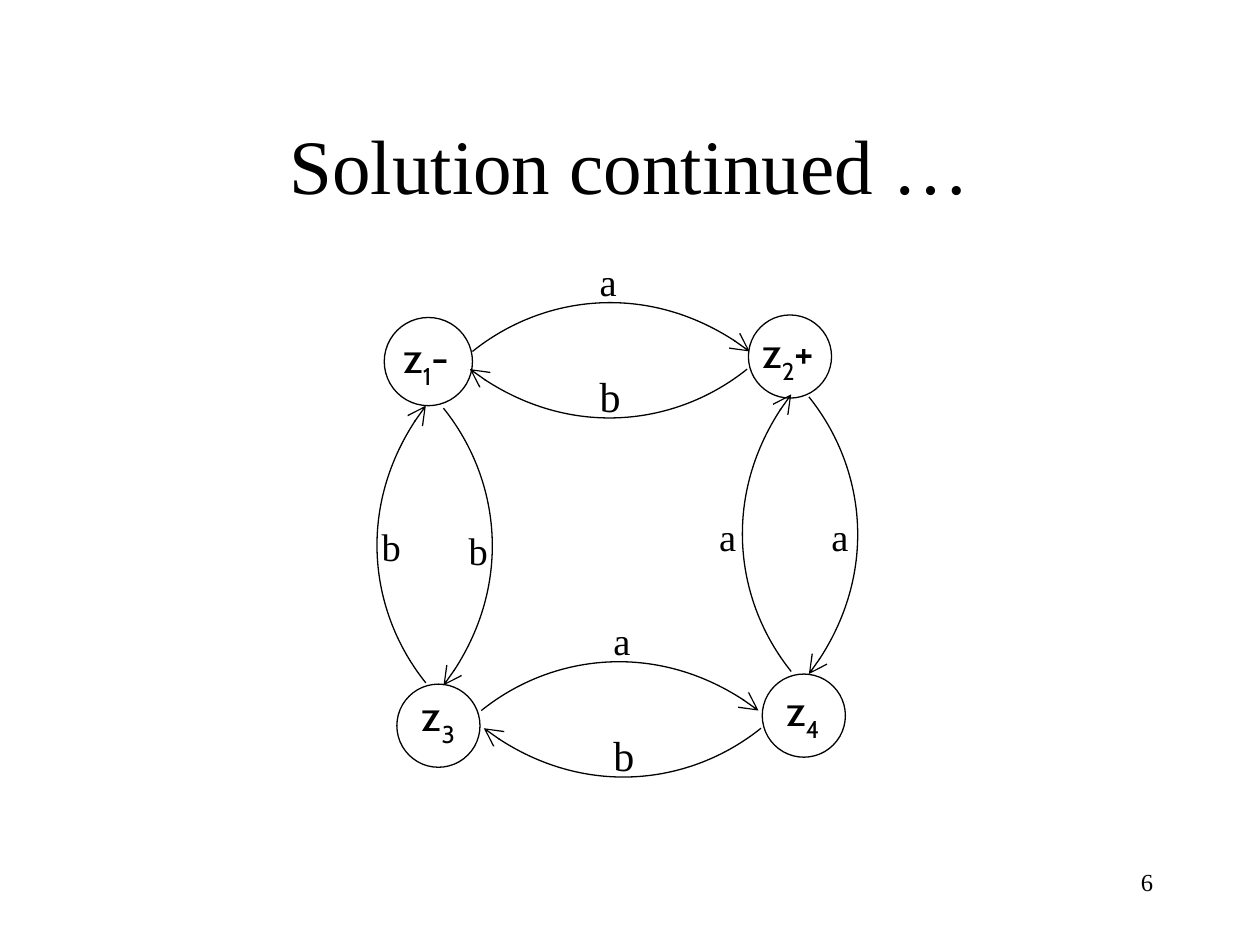
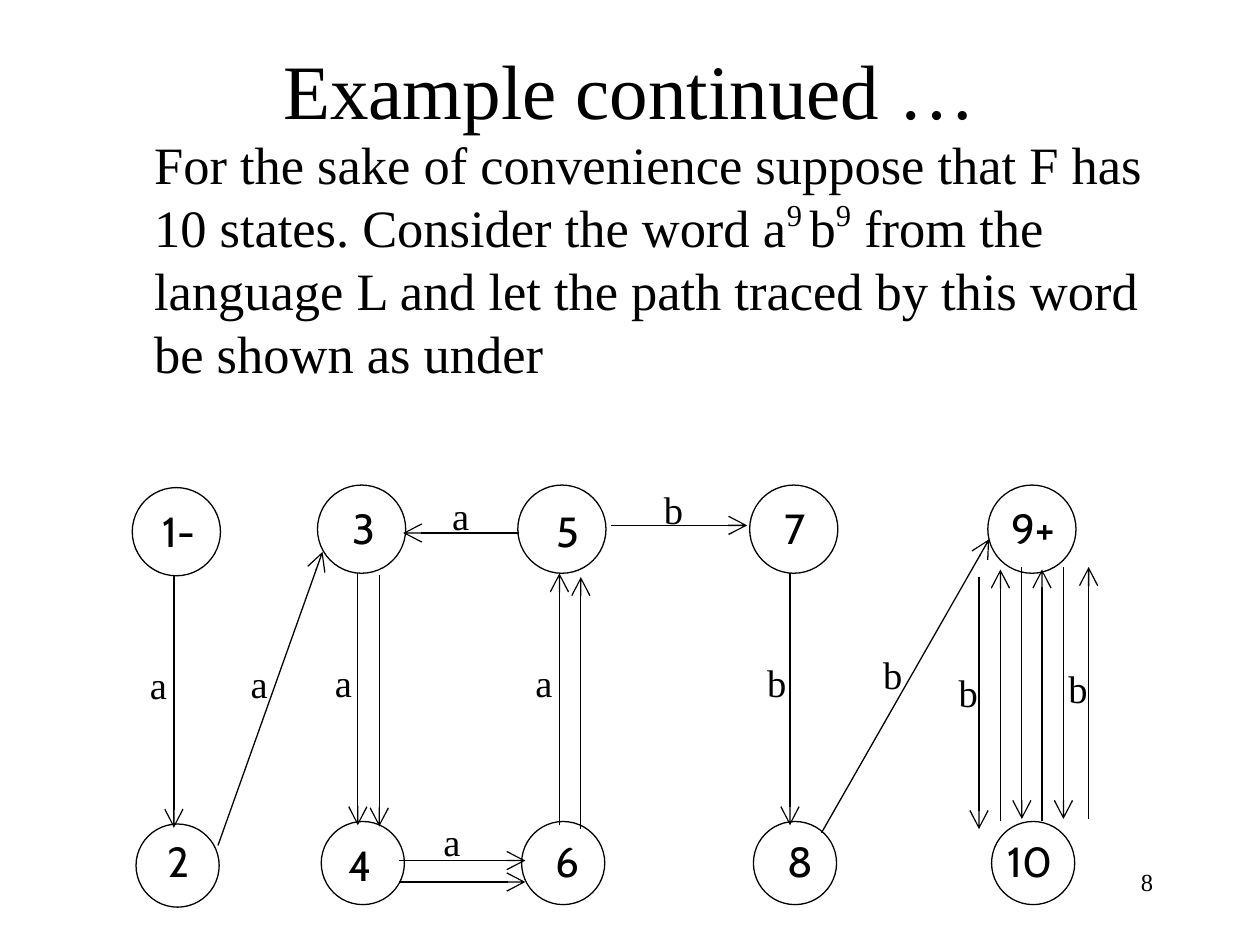
import pptx
import pptx.util
import pptx.dml.color
import pptx.enum.shapes
import pptx.enum.text
import pptx.oxml.ns
import lxml.etree

INK, PAPER = "000000", "FFFFFF"
SERIF, SANS = "Times New Roman", "Cabin"
WIDTH, HEIGHT = 10, 7.5
MARGIN = 0.075 * WIDTH
CONTENT_WIDTH = WIDTH - 2 * MARGIN
BIG, SMALL = 0.7, 0.66      # state diameters
ARROW_LENGTH = 2.0          # vertical transitions of the path
# Curved transitions: control points and end, as (along, sideways)
ARC = ((0.56, 0.45), (1.47, 0.56), (2.2, 0))

ALIGN = pptx.enum.text.PP_ALIGN
ANCHOR = pptx.enum.text.MSO_ANCHOR
qn = pptx.oxml.ns.qn


def inches(*lengths):
    return [pptx.util.Inches(length) for length in lengths]


def color(hex_string):
    return pptx.dml.color.RGBColor.from_string(hex_string)


def add_text(slide, content, left, top, width, height, size=22, font=SERIF,
             align=ALIGN.LEFT, anchor=ANCHOR.TOP, indent=0, leading=None):
    """Content is a string, or (text, baseline percent) pairs."""
    frame = slide.shapes.add_textbox(*inches(left, top, width, height)).text_frame
    frame.word_wrap = True
    frame.vertical_anchor = anchor
    paragraph = frame.paragraphs[0]
    paragraph.alignment = align
    if indent:
        paragraph._p.get_or_add_pPr().set("marL", str(pptx.util.Inches(indent)))
    if leading:
        paragraph.line_spacing = pptx.util.Pt(leading)
    pairs = [(content, 0)] if isinstance(content, str) else content
    for words, baseline in pairs:
        run = paragraph.add_run()
        run.text = words
        run.font.size = pptx.util.Pt(size)
        run.font.name = font
        run.font.color.rgb = color(INK)
        if baseline:
            run.font._element.set("baseline", str(baseline * 1000))


def add_heading(slide, words, top):
    add_text(slide, words, MARGIN, top, CONTENT_WIDTH, HEIGHT / 6, size=44,
             align=ALIGN.CENTER, anchor=ANCHOR.MIDDLE)


def add_page_number(slide, number):
    width = 2.08
    add_text(slide, str(number), WIDTH - MARGIN - width, 6.83, width, 0.5,
             size=14, align=ALIGN.RIGHT)


def add_letter(slide, letter, left, top, size=22):
    width, height = (0.41, 0.4) if size == 22 else (0.49, 0.5)
    add_text(slide, letter, left, top, width, height, size=size)


def add_state_name(slide, name, left, top, width, height):
    add_text(slide, name, left, top, width, height, size=24, font=SANS)


def style_line(shape):
    shape.line.color.rgb = color(INK)
    shape.line.width = pptx.util.Pt(0.75)


def add_arrowhead(shape):
    tail = lxml.etree.SubElement(shape.line._get_or_add_ln(), qn("a:tailEnd"))
    for key, value in (("type", "arrow"), ("w", "lg"), ("len", "lg")):
        tail.set(key, value)


def add_state(slide, left, top, diameter):
    state = slide.shapes.add_shape(pptx.enum.shapes.MSO_SHAPE.OVAL,
                                   *inches(left, top, diameter, diameter))
    state.shadow.inherit = False
    state.fill.solid()
    state.fill.fore_color.rgb = color(PAPER)
    style_line(state)


def add_arrow(slide, start, end):
    arrow = slide.shapes.add_connector(pptx.enum.shapes.MSO_CONNECTOR.STRAIGHT,
                                       *inches(*start, *end))
    style_line(arrow)
    add_arrowhead(arrow)
    lxml.etree.SubElement(arrow._element.spPr, qn("a:effectLst"))


def add_vertical_arrow(slide, x, top, upward=False):
    ends = [(x, top), (x, top + ARROW_LENGTH)]
    if upward:
        ends.reverse()
    add_arrow(slide, *ends)


def add_arc(slide, start, direction):
    """Curve that bends to the left of its direction of travel."""
    x, y = start
    dx, dy = direction
    points = [inches(x + along * dx + side * dy, y + along * dy - side * dx)
              for along, side in ARC]
    outline = slide.shapes.build_freeform(*inches(x, y))
    outline.add_line_segments(points, close=False)
    arc = outline.convert_to_shape()

    # Turn the three straight segments into one cubic curve
    segments = list(arc._element.iter(qn("a:lnTo")))
    curve = lxml.etree.SubElement(segments[0].getparent(), qn("a:cubicBezTo"))
    for segment in segments:
        curve.append(segment[0])
        segment.getparent().remove(segment)

    arc.shadow.inherit = False
    arc.fill.background()
    style_line(arc)
    add_arrowhead(arc)


def build_solution(slide):
    add_heading(slide, "Solution continued …", 0.67)

    # States
    for left, top, diameter in ((3.05, 2.52, BIG), (5.94, 2.5, SMALL),
                                (3.15, 5.43, SMALL), (6.05, 5.35, SMALL)):
        add_state(slide, left, top, diameter)

    # Transitions
    right, left, down, up = (1, 0), (-1, 0), (0, 1), (0, -1)
    for start, direction in (
            ((3.75, 2.79), right), ((5.93, 2.93), left),
            ((3.82, 5.64), right), ((6.04, 5.78), left),
            ((3.52, 3.24), down), ((3.38, 5.42), up),
            ((6.42, 3.15), down), ((6.28, 5.33), up)):
        add_arc(slide, start, direction)

    # Letters read on the transitions
    for letter, x, y, size in (
            ("a", 4.66, 2, 22), ("b", 4.66, 2.89, 24),
            ("a", 4.77, 4.85, 22), ("b", 4.77, 5.74, 24),
            ("b", 2.93, 4.1, 22), ("b", 3.62, 4.13, 22),
            ("a", 5.61, 4.02, 22), ("a", 6.5, 4.02, 22)):
        add_letter(slide, letter, x, y, size)

    # State names
    for index, sign, *box in (("1", "-", 3.1, 2.58, 0.69, 0.4),
                              ("2", "+", 5.95, 2.54, 1.19, 0.44),
                              ("3", "", 3.25, 5.42, 1.04, 0.44),
                              ("4", "", 6.14, 5.38, 0.86, 0.42)):
        name = [("z", 0), (index, -30)]
        if sign:
            name.append((sign, 0))
        add_state_name(slide, name, *box)

    add_page_number(slide, 6)


def build_example(slide):
    add_heading(slide, "Example continued …", 0.08)
    add_text(slide,
             [("For the sake of convenience suppose that F has 10 states. "
               "Consider the word a", 0), ("9 ", 40), ("b", 0), ("9", 40),
              (" from the language L and let the path traced by this word "
               "be shown as under", 0)],
             MARGIN, 1, CONTENT_WIDTH, 0.6 * HEIGHT, size=30,
             indent=MARGIN / 2, leading=36)

    # Pairs of states: column left, row top, then names with their offsets
    columns = (
        (1.05, 3.87, ("1-", 0.14, 0.09), ("2", 0.18, 0.03)),
        (2.52, 3.85, ("3", 0.18, 0.09), ("4", 0.15, 0.08)),
        (4.11, 3.85, ("5", 0.21, 0.11), ("6", 0.2, 0.05)),
        (5.95, 3.85, ("7", 0.18, 0.09), ("8", 0.2, 0.05)),
        (7.84, 3.85, ("9+", 0.09, 0.09), ("10", 0.06, 0.05)))
    row_gap = 2.68
    name_sizes = ((0.69, 0.4), (1.04, 0.44))
    for left, top, *names in columns:
        add_state(slide, left, top, BIG)
        add_state(slide, left + 0.03, top + row_gap - 0.01, SMALL)
        for row, (name, dx, dy) in enumerate(names):
            add_state_name(slide, name, left + dx, top + row * row_gap + dy,
                           *name_sizes[row])

    # Vertical transitions
    for x, top in ((1.38, 4.57), (2.84, 4.55), (3.01, 4.56), (6.27, 4.55),
                   (7.77, 4.58), (8.11, 4.5), (8.44, 4.5)):
        add_vertical_arrow(slide, x, top)
    for x, top in ((4.44, 4.55), (4.61, 4.58), (7.94, 4.52), (8.27, 4.52),
                   (8.64, 4.5)):
        add_vertical_arrow(slide, x, top, upward=True)

    # Transitions between columns
    for start, end in (((1.73, 6.71), (2.56, 4.38)),
                       ((3.17, 6.83), (4.17, 6.83)),
                       ((3.17, 7), (4.17, 7)),
                       ((4.12, 4.23), (3.2, 4.23)),
                       ((4.85, 4.17), (5.93, 4.17)),
                       ((6.52, 6.61), (7.85, 4.28))):
        add_arrow(slide, start, end)

    # Letters read on the transitions
    for letter, x, y in (
            ("a", 1.09, 5.2), ("a", 1.89, 5.19), ("a", 2.56, 5.18),
            ("a", 3.42, 6.44), ("a", 4.15, 5.18), ("a", 3.49, 3.86),
            ("b", 5.17, 3.81), ("b", 5.99, 5.18), ("b", 6.91, 5.12),
            ("b", 7.51, 5.26), ("b", 8.38, 5.23)):
        add_letter(slide, letter, x, y)

    add_page_number(slide, 8)


def main():
    deck = pptx.Presentation()
    deck.slide_width, deck.slide_height = inches(WIDTH, HEIGHT)
    blank = deck.slide_layouts[6]
    for build in (build_solution, build_example):
        build(deck.slides.add_slide(blank))
    deck.save("out.pptx")


if __name__ == "__main__":
    main()
